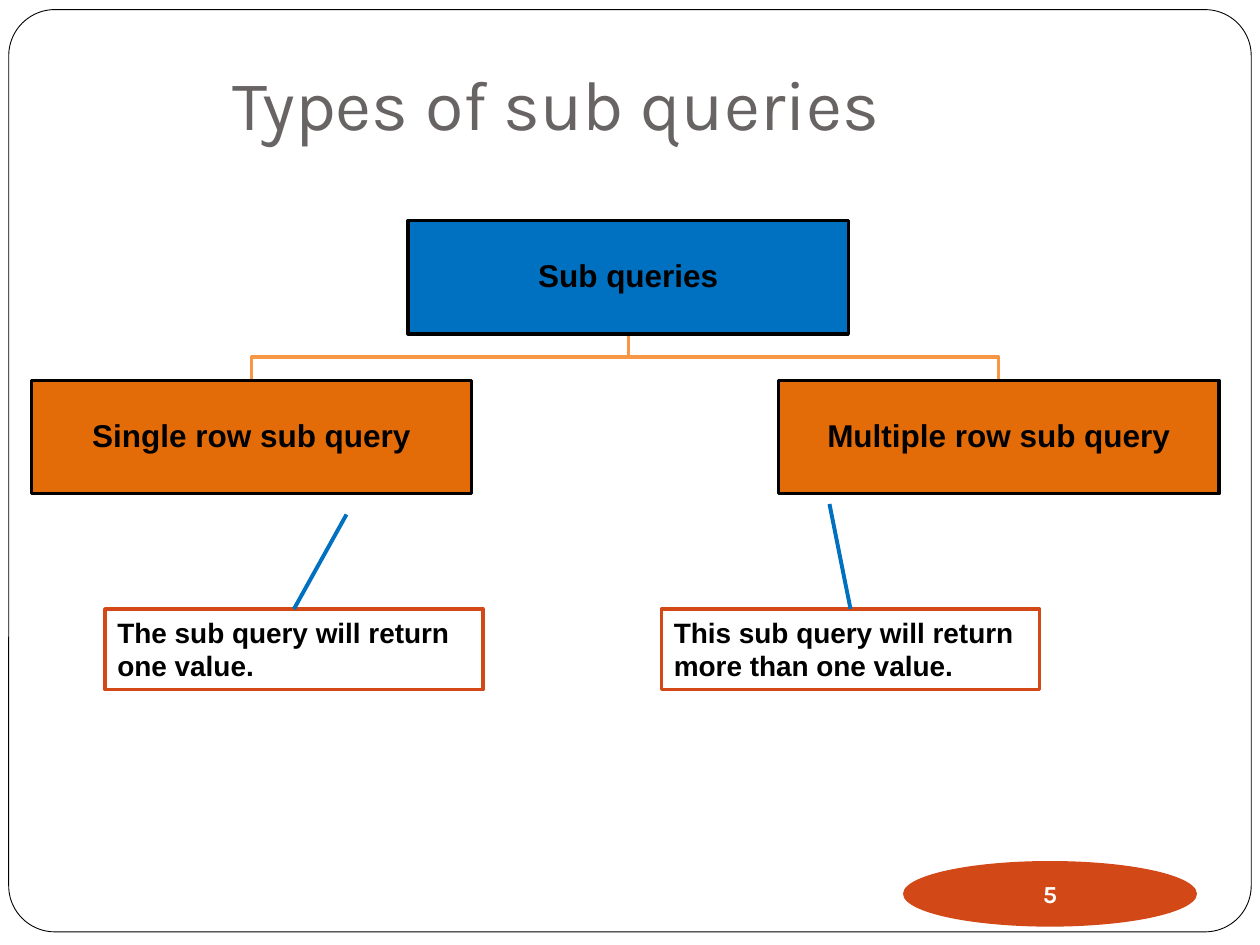
from lxml.etree import SubElement
from pptx import Presentation
from pptx.dml.color import RGBColor
from pptx.enum.shapes import MSO_CONNECTOR, MSO_SHAPE
from pptx.enum.text import MSO_ANCHOR, PP_ALIGN
from pptx.oxml.ns import qn
from pptx.util import Pt

BLACK, WHITE, RUST = "000000", "FFFFFF", "D34817"
BLUE, ORANGE, AMBER = "0070C0", "E36C09", "F79645"


def color(code):
    return RGBColor.from_string(code)


class Deck:
    """Holds the text style and the slide being drawn."""

    font = "Arial"
    head = "Karla"

    def __init__(self, slide):
        self.slide = slide
        self.shapes = slide.shapes

    def paint(self, shape, fill, line, width):
        shape.shadow.inherit = False
        if fill:
            shape.fill.solid()
            shape.fill.fore_color.rgb = color(fill)
        else:
            shape.fill.background()
        if line:
            shape.line.color.rgb = color(line)
            shape.line.width = Pt(width)
        else:
            shape.line.fill.background()

    def shape(self, kind, box, fill, line=None, width=2):
        shape = self.shapes.add_shape(kind, *map(Pt, box))
        self.paint(shape, fill, line, width)
        return shape

    def label(self, shape, text, size, pads, ink=BLACK, bold=True, font=None,
              align=PP_ALIGN.LEFT, anchor=MSO_ANCHOR.TOP, wrap=True, space=1.0):
        """Fill a shape with one paragraph; pads are left, top, right, bottom."""
        frame = shape.text_frame
        frame.word_wrap = wrap
        frame.vertical_anchor = anchor
        (frame.margin_left, frame.margin_top,
         frame.margin_right, frame.margin_bottom) = map(Pt, pads)
        par = frame.paragraphs[0]
        par.alignment = align
        par.line_spacing = space
        run = par.add_run()
        run.text = text
        run.font.name = font or self.font
        run.font.size = Pt(size)
        run.font.bold = bold
        run.font.color.rgb = color(ink)

    def title(self, text, box):
        shape = self.shapes.add_textbox(*map(Pt, box))
        self.label(shape, text, 40, (7.2, 3.6, 7.2, 7.2), "696464", False,
                   self.head, anchor=MSO_ANCHOR.BOTTOM)

    def badge(self, text, box):
        shape = self.shape(MSO_SHAPE.OVAL, box, RUST)
        self.label(shape, text, 14, (0, 0, 0, 0), WHITE, font=self.head,
                   align=PP_ALIGN.CENTER, anchor=MSO_ANCHOR.MIDDLE, wrap=False)

    def node(self, text, box, fill):
        shape = self.shape(MSO_SHAPE.RECTANGLE, box, fill, BLACK)
        self.label(shape, text, 18, (0.7, 0.7, 0.7, 0.7),
                   align=PP_ALIGN.CENTER, anchor=MSO_ANCHOR.MIDDLE, space=0.9)

    def note(self, text, box):
        shape = self.shape(MSO_SHAPE.RECTANGLE, box, WHITE, RUST)
        self.label(shape, text, 16, (7.2, 3.6, 7.2, 3.6))

    def branch(self, start, end):
        """Draw an elbow that turns halfway down."""
        (left, top), (right, base) = start, end
        mid = (top + base) / 2
        pen = self.shapes.build_freeform(Pt(left), Pt(top))
        bends = [(left, mid), (right, mid), end]
        pen.add_line_segments([(Pt(x), Pt(y)) for x, y in bends], close=False)
        self.paint(pen.convert_to_shape(), None, AMBER, 2)

    def link(self, start, end):
        line = self.shapes.add_connector(
            MSO_CONNECTOR.STRAIGHT, *map(Pt, start + end))
        line.line.color.rgb = color(BLUE)
        line.line.width = Pt(2.25)
        SubElement(line._element.spPr, qn("a:effectLst"))


def main():
    show = Presentation()
    show.slide_width, show.slide_height = Pt(720), Pt(540)
    deck = Deck(show.slides.add_slide(show.slide_layouts[6]))

    frame = deck.shape(MSO_SHAPE.ROUNDED_RECTANGLE, (5, 5.5, 710, 527),
                       WHITE, BLACK, 0.5)
    frame.adjustments[0] = 0.05
    deck.title("Types of sub queries", (126, 0, 594, 90))
    deck.badge("5", (516, 492, 168, 37.5))

    wide, high = 251.5, 64.8
    root_x, root_y, kid_y = 233.3, 126, 217.4
    kids = [("Single row sub query", 18), ("Multiple row sub query", 445)]
    for _, x in kids:
        deck.branch((root_x + wide / 2, root_y + high), (x + wide / 2, kid_y))
    deck.node("Sub queries", (root_x, root_y, wide, high), BLUE)
    for text, x in kids:
        deck.node(text, (x, kid_y, wide, high), ORANGE)

    note_y = 348
    notes = [
        ("The sub query will return one value.", 60, (198, 294)),
        ("This sub query will return more than one value.", 378, (474, 288)),
    ]
    for text, x, tip in notes:
        deck.note(text, (x, note_y, 216, 46))
        deck.link((x + 108, note_y), tip)

    show.save("out.pptx")


if __name__ == "__main__":
    main()
